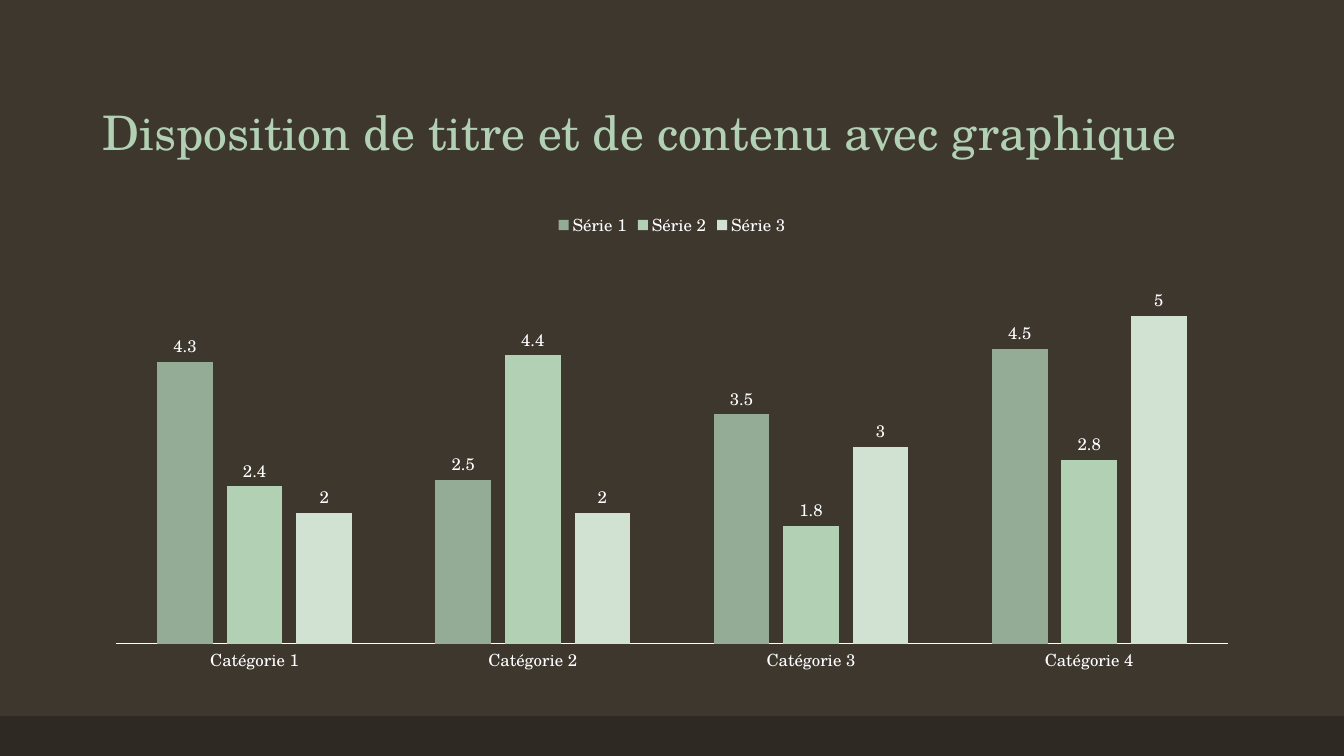
from pptx import Presentation
from pptx.chart.data import CategoryChartData
from pptx.dml.color import RGBColor
from pptx.enum.chart import XL_CHART_TYPE, XL_LABEL_POSITION, XL_LEGEND_POSITION, XL_TICK_MARK
from pptx.enum.shapes import MSO_SHAPE
from pptx.enum.text import MSO_ANCHOR, MSO_AUTO_SIZE, PP_ALIGN
from pptx.util import Pt

PX = 9525
FACE = "TeX Gyre Schola"
BACK = RGBColor(0x3D, 0x37, 0x2E)
DARK = RGBColor(0x2E, 0x29, 0x23)
WHITE = RGBColor(0xFF, 0xFF, 0xFF)
SAGE = RGBColor(0x94, 0xAC, 0x95)
MINT = RGBColor(0xB2, 0xD0, 0xB4)
PALE = RGBColor(0xD1, 0xE2, 0xD2)
COLUMN = XL_CHART_TYPE.COLUMN_CLUSTERED
ABOVE = XL_LABEL_POSITION.OUTSIDE_END
TOP = XL_LEGEND_POSITION.TOP
NO_TICK = XL_TICK_MARK.NONE
RECT = MSO_SHAPE.RECTANGLE
BOTTOM = MSO_ANCHOR.BOTTOM
NO_FIT = MSO_AUTO_SIZE.NONE
LEFT = PP_ALIGN.LEFT

GROUPS = ["Catégorie 1", "Catégorie 2", "Catégorie 3", "Catégorie 4"]
SERIES = [
    ("Série 1", (4.3, 2.5, 3.5, 4.5), SAGE),
    ("Série 2", (2.4, 4.4, 1.8, 2.8), MINT),
    ("Série 3", (2, 2, 3, 5), PALE),
]


class Deck:
    def __init__(self, width, height):
        self.prs = Presentation()
        self.prs.slide_width = width * PX
        self.prs.slide_height = height * PX
        self.slide = self.prs.slides.add_slide(self.prs.slide_layouts[5])
        fill = self.slide.background.fill
        fill.solid()
        fill.fore_color.rgb = BACK

    def style(self, font, size, color=WHITE):
        font.name = FACE
        font.size = Pt(size)
        font.color.rgb = color

    def band(self, *box):
        shape = self.slide.shapes.add_shape(RECT, *[n * PX for n in box])
        shape.shadow.inherit = False
        shape.fill.solid()
        shape.fill.fore_color.rgb = DARK
        shape.line.fill.background()

    def title(self, text, *box):
        title = self.slide.shapes.title
        title.left, title.top, title.width, title.height = [n * PX for n in box]
        frame = title.text_frame
        frame.text = text
        frame.word_wrap = True
        frame.auto_size = NO_FIT
        frame.vertical_anchor = BOTTOM
        para = frame.paragraphs[0]
        para.alignment = LEFT
        para.line_spacing = 0.9
        self.style(para.runs[0].font, 34, MINT)

    def chart(self, groups, series, *box):
        data = CategoryChartData()
        data.categories = groups
        for name, values, _ in series:
            data.add_series(name, values)
        frame = self.slide.shapes.add_chart(COLUMN, *[n * PX for n in box], data)
        chart = frame.chart
        chart.has_title = False
        self.style(chart.font, 10)
        chart.has_legend = True
        chart.legend.position = TOP
        chart.legend.include_in_layout = False
        self.style(chart.legend.font, 12)
        self.axes(chart)
        plot = chart.plots[0]
        plot.gap_width = 150
        plot.overlap = -25
        plot.vary_by_categories = False
        for bars, (_, _, color) in zip(plot.series, series):
            bars.format.fill.solid()
            bars.format.fill.fore_color.rgb = color
            labels = bars.data_labels
            labels.show_value = True
            labels.position = ABOVE
            self.style(labels.font, 12)

    def axes(self, chart):
        base = chart.category_axis
        base.major_tick_mark = NO_TICK
        base.minor_tick_mark = NO_TICK
        base.format.line.color.rgb = WHITE
        base.format.line.width = Pt(0.75)
        self.style(base.tick_labels.font, 12)
        scale = chart.value_axis
        scale.minimum_scale = 0
        scale.maximum_scale = 6
        scale.has_major_gridlines = False
        scale.visible = False


def main():
    deck = Deck(1280, 720)
    deck.band(0, 682, 1280, 38)
    deck.title("Disposition de titre et de contenu avec graphique", 88, 38, 1104, 120)
    deck.chart(GROUPS, SERIES, 88, 192, 1104, 457)
    deck.prs.save("out.pptx")


if __name__ == "__main__":
    main()
